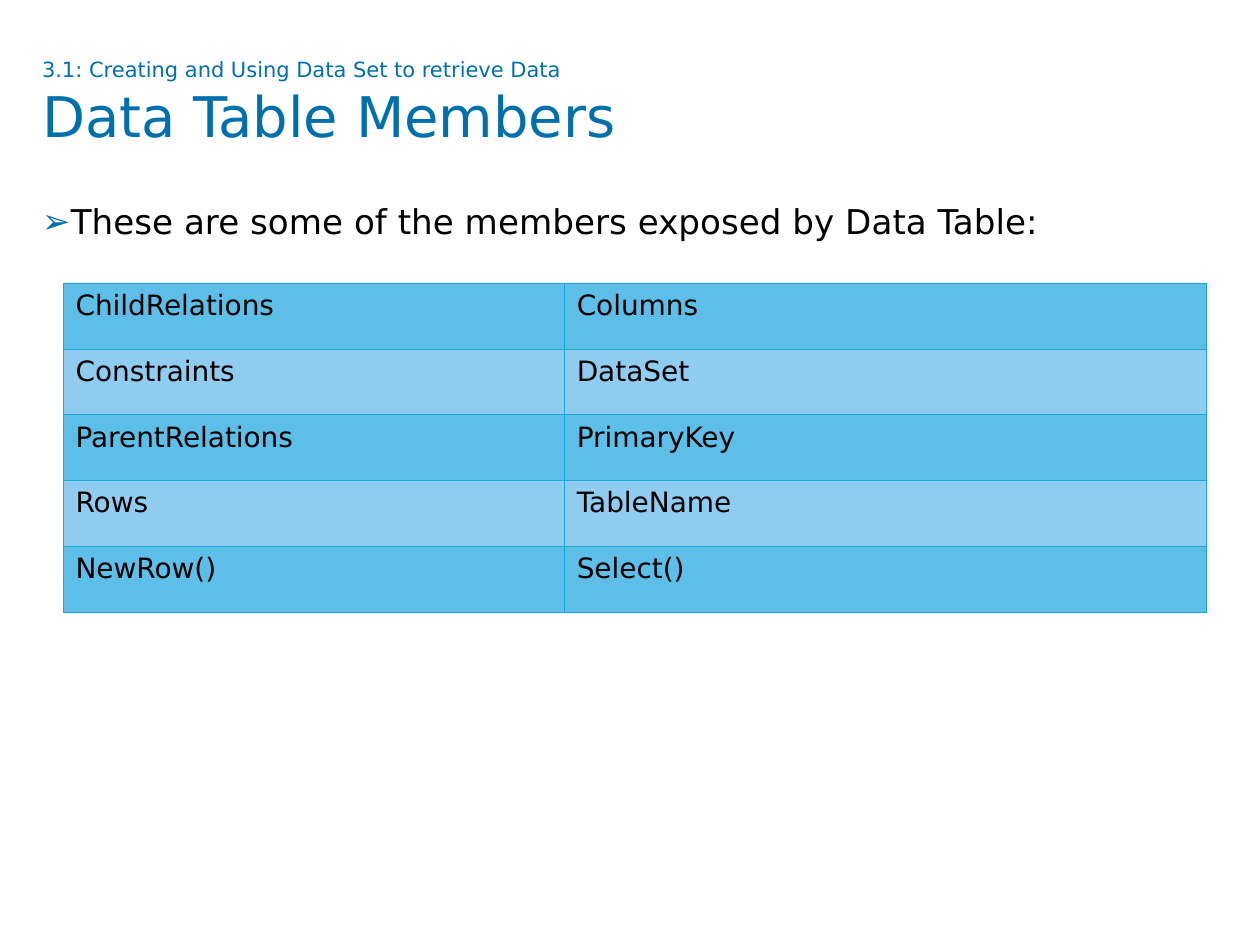
from pptx import Presentation
from pptx import util as u
from pptx.dml.color import RGBColor
from pptx.enum import text
from pptx.oxml import parse_xml
from pptx.oxml.ns import nsdecls

Pt = u.Pt
FONT = "DejaVu Sans"
HUES = {"head": "0070AD", "ink": "000000", "edge": "12ABDB",
        "dark": "5DBFE8", "light": "90CCF0"}
TITLE = [("3.1: Creating and Using Data Set to retrieve Data", 12),
         ("Data Table Members", 32)]
LEAD = "These are some of the members exposed by Data Table:"
MEMBERS = [
    ("ChildRelations", "Columns"),
    ("Constraints", "DataSet"),
    ("ParentRelations", "PrimaryKey"),
    ("Rows", "TableName"),
    ("NewRow()", "Select()"),
]
WIDTHS = (286.4, 367)
ROW = 37.55


def apply(obj, **vals):
    for key, val in vals.items():
        setattr(obj, key, val)


def place(shape, left, top, width, height):
    apply(shape, left=Pt(left), top=Pt(top), width=Pt(width), height=Pt(height))
    apply(shape.text_frame, word_wrap=True, margin_left=0, margin_right=0,
          margin_top=0, margin_bottom=0, vertical_anchor=text.MSO_ANCHOR.TOP)


def write(para, words, size, hue):
    run = para.add_run()
    run.text = words
    apply(run.font, name=FONT, size=Pt(size), bold=False)
    run.font.color.rgb = RGBColor.from_string(HUES[hue])


def add(parent, xml):
    parent.append(parse_xml(xml.replace(" ?", " " + nsdecls("a"), 1)))


def hang(para, depth):
    props = para._p.get_or_add_pPr()
    props.set("marL", str(Pt(depth)))
    props.set("indent", str(-Pt(depth)))
    return props


def fill_cell(cell, words, hue):
    props = cell._tc.get_or_add_tcPr()
    for side in "LRTB":
        add(props, f'<a:ln{side} ? w="{Pt(0.5)}"><a:solidFill>'
                   f'<a:srgbClr val="{HUES["edge"]}"/></a:solidFill></a:ln{side}>')
    cell.fill.solid()
    cell.fill.fore_color.rgb = RGBColor.from_string(HUES[hue])
    para = cell.text_frame.paragraphs[0]
    hang(para, 27)
    write(para, words, 16, "ink")


deck = Presentation()
apply(deck, slide_width=Pt(720), slide_height=Pt(540))
slide = deck.slides.add_slide(deck.slide_layouts[5])

title = slide.shapes.title
place(title, 24, 32.4, 672, 67.7)
title.text_frame.auto_size = text.MSO_AUTO_SIZE.NONE
para = title.text_frame.paragraphs[0]
para.alignment = text.PP_ALIGN.LEFT
for n, (words, size) in enumerate(TITLE):
    if n:
        para.add_line_break()
    write(para, words, size, "head")

body = slide.shapes.add_textbox(0, 0, 0, 0)
place(body, 24, 117.4, 672.5, 365.8)
para = body.text_frame.paragraphs[0]
apply(para, alignment=text.PP_ALIGN.JUSTIFY, line_spacing=0.9, space_before=Pt(7.5))
props = hang(para, 16.5)
add(props, f'<a:buClr ?><a:srgbClr val="{HUES["head"]}"/></a:buClr>')
add(props, f'<a:buFont ? typeface="{FONT}"/>')
add(props, '<a:buChar ? char="➢"/>')
write(para, LEAD, 19.5, "ink")

table = slide.shapes.add_table(len(MEMBERS), len(WIDTHS), Pt(36), Pt(162),
                               Pt(sum(WIDTHS)), Pt(ROW * len(MEMBERS))).table
apply(table, first_row=False, horz_banding=False)
for col, width in zip(table.columns, WIDTHS):
    col.width = Pt(width)
for r, names in enumerate(MEMBERS):
    table.rows[r].height = Pt(ROW)
    for c, name in enumerate(names):
        fill_cell(table.cell(r, c), name, "light" if r % 2 else "dark")

deck.save("out.pptx")
